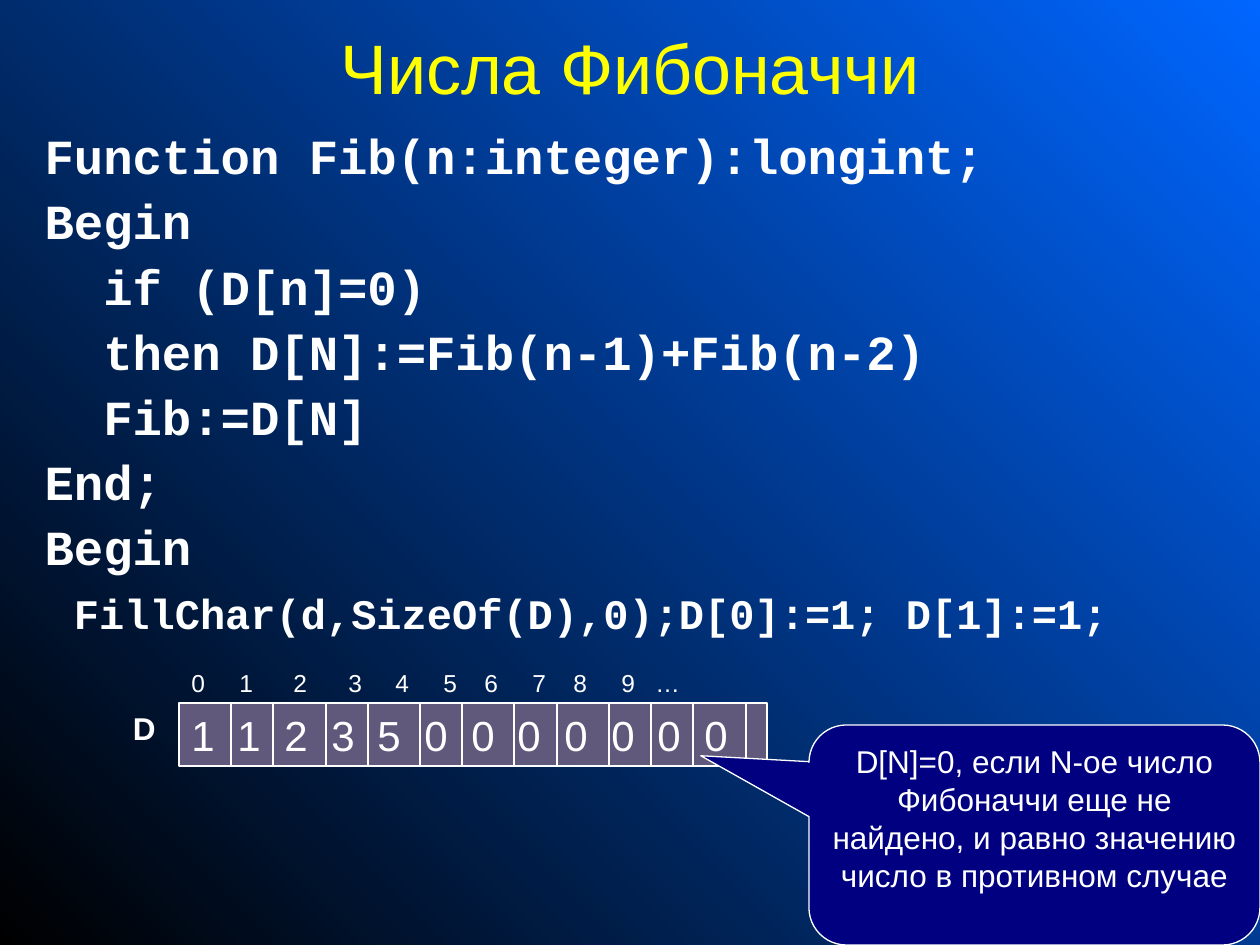
from lxml.etree import SubElement
from pptx import Presentation
from pptx.dml.color import RGBColor
from pptx.enum.shapes import MSO_CONNECTOR, MSO_SHAPE
from pptx.enum.text import MSO_ANCHOR, MSO_AUTO_SIZE, PP_ALIGN
from pptx.oxml.ns import qn
from pptx.util import Pt

PX = 914400 // 126
COLORS = {"blue": "0066FF", "black": "000000", "title": "FFFF00",
          "white": "FFFFFF", "cell": "60597B", "callout": "000080"}


def rgb(name):
    return RGBColor.from_string(COLORS[name])


def write(tf, text, size, color="white", font="Arial", bold=False,
          align=PP_ALIGN.LEFT, anchor=MSO_ANCHOR.TOP, spacing=None,
          before=0, tabs=()):
    """Fill a text frame, one paragraph a line, with tab stops in px."""
    tf.auto_size = MSO_AUTO_SIZE.NONE
    tf.word_wrap = True
    tf.vertical_anchor = anchor
    tf.text = text
    for i, p in enumerate(tf.paragraphs):
        pPr = p._p.get_or_add_pPr()
        if tabs:  # an explicit indent would reset the tab stops
            tab_list = SubElement(pPr, qn("a:tabLst"))
            for x in tabs:
                SubElement(tab_list, qn("a:tab"), pos=str(x * PX), algn="l")
        else:
            pPr.set("marL", "0")
            pPr.set("indent", "0")
            SubElement(pPr, qn("a:buNone"))
        p.alignment = align
        p.line_spacing = spacing
        p.space_before = Pt(before if i else 0)
        for r in p.runs:
            r.font.size = Pt(size)
            r.font.name = font
            r.font.bold = bold
            r.font.color.rgb = rgb(color)


prs = Presentation()
prs.slide_width, prs.slide_height = 1260 * PX, 945 * PX
s = prs.slides.add_slide(prs.slide_layouts[1])

bg = s.background.fill
bg.gradient()
bg.gradient_angle = 225
for stop, name, pos in zip(bg.gradient_stops, ("blue", "black"), (0, 1)):
    stop.color.rgb = rgb(name)
    stop.position = pos

# Title and code
title, body = s.placeholders
title.left, title.top, title.width, title.height = 63 * PX, 38 * PX, 1134 * PX, 57 * PX
write(title.text_frame, "Числа Фибоначчи", 40, "title",
      align=PP_ALIGN.CENTER, anchor=MSO_ANCHOR.MIDDLE)

code = """Function Fib(n:integer):longint;
Begin
  if (D[n]=0)
  then D[N]:=Fib(n-1)+Fib(n-2)
  Fib:=D[N]
End;
Begin
 """
body.left, body.top, body.width, body.height = 32 * PX, 126 * PX, 1207 * PX, 525 * PX
write(body.text_frame, code, 28, font="Courier New", bold=True,
      spacing=0.9, before=7)
last = body.text_frame.paragraphs[-1]
last.space_before = Pt(6)
r = last.add_run()
r.text = "FillChar(d,SizeOf(D),0);D[0]:=1; D[1]:=1;"
r.font.size = Pt(24)
r.font.name = "Courier New"
r.font.bold = True
r.font.color.rgb = rgb("white")

# Array D: indices, cells and name
LEFT, TOP, HEIGHT = 179, 703, 63
indices = s.shapes.add_textbox(LEFT * PX, 662 * PX, 557 * PX, 42 * PX)
write(indices.text_frame, "\t".join([*"0123456789", "…"]), 14,
      tabs=(48, 102, 157, 204, 252, 293, 341, 382, 430, 464))

array = s.shapes.add_group_shape()
cells = array.shapes.add_shape(MSO_SHAPE.RECTANGLE, LEFT * PX, TOP * PX,
                               588 * PX, HEIGHT * PX)
write(cells.text_frame, "\t".join("112350000000"), 24,
      tabs=[i * 140 // 3 for i in range(1, 12)])
for x in (231, 273, 326, 368, 420, 462, 514, 557, 609, 651, 693, 746):
    line = array.shapes.add_connector(MSO_CONNECTOR.STRAIGHT, x * PX, TOP * PX,
                                      x * PX, (TOP + HEIGHT) * PX)
    line.line.color.rgb = rgb("white")
    line.line.width = Pt(0.75)
    SubElement(line._element.spPr, qn("a:effectLst"))

name = s.shapes.add_textbox(105 * PX, TOP * PX, 63 * PX, 50 * PX)
write(name.text_frame, "D", 18, bold=True, align=PP_ALIGN.RIGHT)

# Callout pointing at the zeros
callout = s.shapes.add_shape(MSO_SHAPE.ROUNDED_RECTANGULAR_CALLOUT,
                             809 * PX, 725 * PX, 451 * PX, 220 * PX)
for i, value in enumerate((-0.74, -0.36, 0.17)):
    callout.adjustments[i] = value
write(callout.text_frame,
      "D[N]=0, если N-ое число Фибоначчи еще не найдено, "
      "и равно значению число в противном случае",
      18, align=PP_ALIGN.CENTER)

for sp, fill in ((cells, "cell"), (callout, "callout")):
    sp.shadow.inherit = False
    sp.fill.solid()
    sp.fill.fore_color.rgb = rgb(fill)
    sp.line.color.rgb = rgb("white")
    sp.line.width = Pt(0.75)

prs.save("out.pptx")
